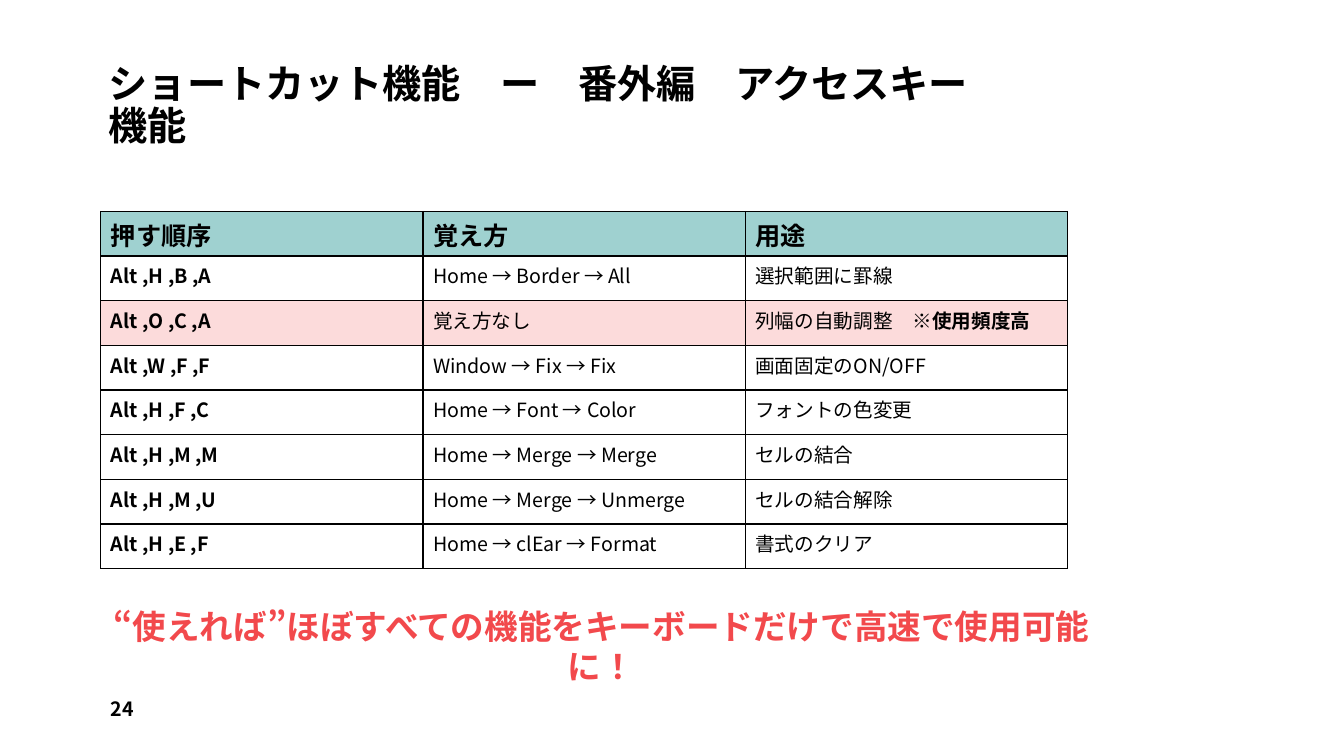
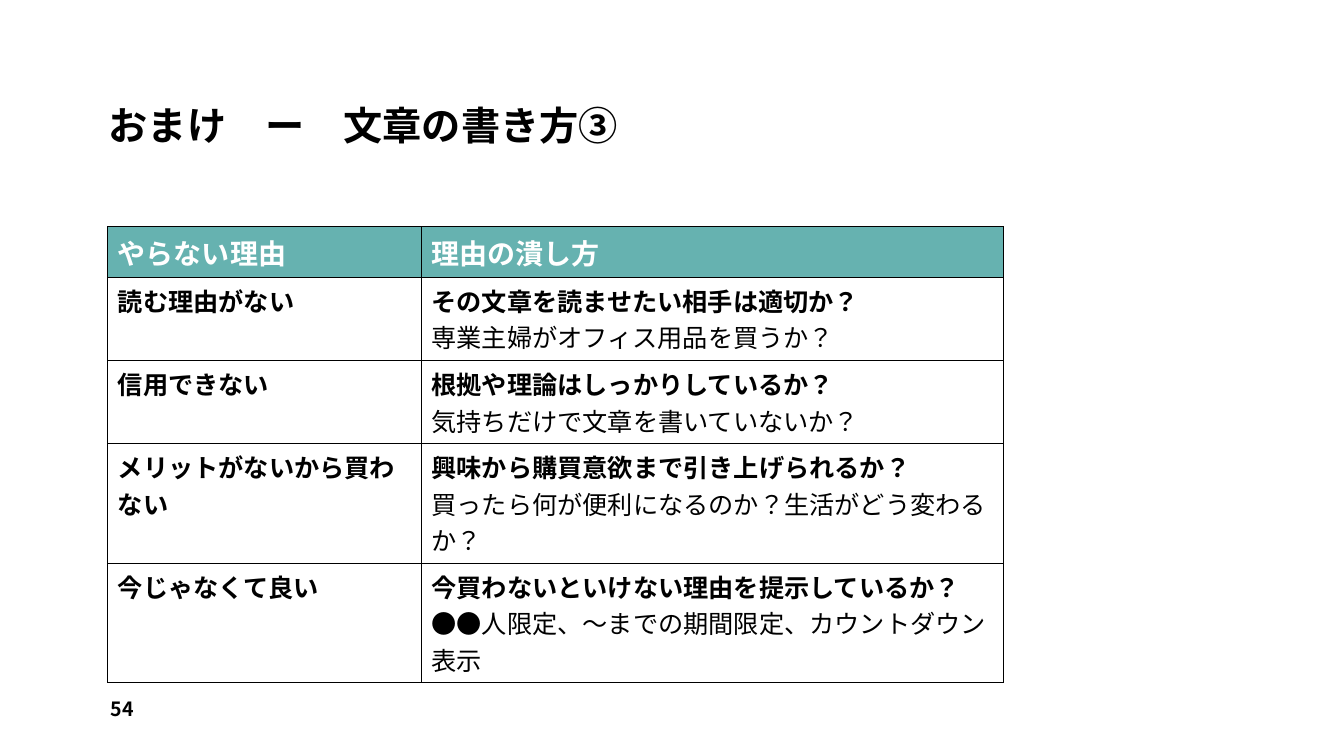
from dataclasses import dataclass

from lxml import etree
from pptx import Presentation
from pptx.dml.color import RGBColor
from pptx.enum.lang import MSO_LANGUAGE_ID
from pptx.enum.text import MSO_ANCHOR, MSO_AUTO_SIZE, PP_ALIGN
from pptx.oxml.ns import qn
from pptx.util import Pt

BOTTOM, MIDDLE = MSO_ANCHOR.BOTTOM, MSO_ANCHOR.MIDDLE
LEFT, CENTER = PP_ALIGN.LEFT, PP_ALIGN.CENTER
FIXED_SIZE, GROW = MSO_AUTO_SIZE.NONE, MSO_AUTO_SIZE.SHAPE_TO_FIT_TEXT
JAPANESE = MSO_LANGUAGE_ID.JAPANESE
TITLE_ONLY = 5


@dataclass(frozen=True)
class Theme:
    black: str = "000000"
    white: str = "FFFFFF"
    accent: str = "F2494C"
    pale_teal: str = "9FD1D0"
    teal: str = "66B2B0"
    highlight: str = "FCDBDB"
    font: str = "Noto Sans CJK JP"
    latin_font: str = "Arial"
    title_size: float = 28
    callout_size: float = 24
    large_header_size: float = 20
    header_size: float = 18
    body_size: float = 18
    small_size: float = 14
    border_width: float = 1


THEME = Theme()


@dataclass(frozen=True)
class Style:
    size: float
    bold: bool = True
    color: str = THEME.black
    font: str = THEME.font


@dataclass(frozen=True)
class Piece:
    text: str
    style: Style


@dataclass(frozen=True)
class Cell:
    paragraphs: list[list[Piece]]
    fill: str = THEME.white


@dataclass(frozen=True)
class Grid:
    left: float
    top: float
    columns: list[float]
    heights: list[float]
    rows: list[list[Cell]]


def write(paragraph, pieces: list[Piece], east_asian: bool = False) -> None:
    for piece in pieces:
        run = paragraph.add_run()
        run.text = piece.text
        font = run.font
        font.language_id = JAPANESE
        font.size = Pt(piece.style.size)
        font.bold = piece.style.bold
        font.name = piece.style.font
        font.color.rgb = RGBColor.from_string(piece.style.color)
        if east_asian:
            latin = run._r.rPr.find(qn("a:latin"))
            latin.addnext(etree.Element(qn("a:ea"), typeface=THEME.font))


def add_borders(cell) -> None:
    properties = cell._tc.get_or_add_tcPr()
    for position, side in enumerate(("lnL", "lnR", "lnT", "lnB")):
        line = etree.Element(qn(f"a:{side}"), w=str(Pt(THEME.border_width)))
        fill = etree.SubElement(line, qn("a:solidFill"))
        etree.SubElement(fill, qn("a:srgbClr"), val=THEME.black)
        properties.insert(position, line)


def add_grid(slide, grid: Grid) -> None:
    table = slide.shapes.add_table(
        len(grid.rows), len(grid.columns), Pt(grid.left), Pt(grid.top),
        Pt(sum(grid.columns)), Pt(sum(grid.heights))).table
    for column, width in zip(table.columns, grid.columns):
        column.width = Pt(width)
    for row, height, contents in zip(table.rows, grid.heights, grid.rows):
        row.height = Pt(height)
        for cell, content in zip(row.cells, contents):
            cell.fill.solid()
            cell.fill.fore_color.rgb = RGBColor.from_string(content.fill)
            add_borders(cell)
            frame = cell.text_frame
            for index, pieces in enumerate(content.paragraphs):
                paragraph = frame.add_paragraph() if index else frame.paragraphs[0]
                write(paragraph, pieces, east_asian=True)


def add_label(slide, left: float, top: float, width: float, height: float, piece: Piece):
    frame = slide.shapes.add_textbox(Pt(left), Pt(top), Pt(width), Pt(height)).text_frame
    frame.word_wrap = True
    write(frame.paragraphs[0], [piece])
    return frame


def add_page(deck, heading: str, number: int):
    slide = deck.slides.add_slide(deck.slide_layouts[TITLE_ONLY])
    title = slide.shapes.title
    title.left, title.top, title.width, title.height = Pt(70.5), Pt(5.5), Pt(653), Pt(104.5)
    frame = title.text_frame
    frame.vertical_anchor = BOTTOM
    frame.auto_size = FIXED_SIZE
    paragraph = frame.paragraphs[0]
    paragraph.alignment = LEFT
    paragraph.line_spacing = 0.9
    write(paragraph, [Piece(heading, Style(THEME.title_size))])
    footer = add_label(slide, 72, 492, 210, 29, Piece(str(number), Style(THEME.small_size)))
    footer.vertical_anchor = MIDDLE
    return slide


def shortcut_rows() -> list[list[Cell]]:
    header = Style(THEME.header_size)
    strong = Style(THEME.small_size)
    plain = Style(THEME.small_size, bold=False)
    shortcuts = [
        ("Alt ,H ,B ,A", "Home → Border → All", "選択範囲に罫線", ""),
        ("Alt ,O ,C ,A", "覚え方なし", "列幅の自動調整　", "※使用頻度高"),
        ("Alt ,W ,F ,F", "Window → Fix → Fix", "画面固定のON/OFF", ""),
        ("Alt ,H ,F ,C", "Home → Font → Color", "フォントの色変更", ""),
        ("Alt ,H ,M ,M", "Home → Merge → Merge", "セルの結合", ""),
        ("Alt ,H ,M ,U", "Home → Merge → Unmerge", "セルの結合解除", ""),
        ("Alt ,H ,E ,F", "Home → clEar → Format", "書式のクリア", ""),
    ]
    rows = [[Cell([[Piece(text, header)]], THEME.pale_teal)
             for text in ("押す順序", "覚え方", "用途")]]
    for keys, mnemonic, purpose, remark in shortcuts:
        fill = THEME.highlight if remark else THEME.white
        usage = [Piece(purpose, plain)]
        if remark:
            usage.append(Piece(remark, strong))
        rows.append([Cell([pieces], fill) for pieces in
                     ([Piece(keys, strong)], [Piece(mnemonic, plain)], usage)])
    return rows


def objection_rows() -> list[list[Cell]]:
    header = Style(THEME.large_header_size, color=THEME.white, font=THEME.latin_font)
    reason_style = Style(THEME.body_size, font=THEME.latin_font)
    strong = Style(THEME.body_size)
    plain = Style(THEME.body_size, bold=False)
    objections = [
        ("読む理由がない", "その文章を読ませたい相手は適切か？",
         "専業主婦がオフィス用品を買うか？"),
        ("信用できない", "根拠や理論はしっかりしているか？",
         "気持ちだけで文章を書いていないか？"),
        ("メリットがないから買わない", "興味から購買意欲まで引き上げられるか？",
         "買ったら何が便利になるのか？生活がどう変わるか？"),
        ("今じゃなくて良い", "今買わないといけない理由を提示しているか？",
         "●●人限定、～までの期間限定、カウントダウン表示"),
    ]
    rows = [[Cell([[Piece(text, header)]], THEME.teal)
             for text in ("やらない理由", "理由の潰し方")]]
    for reason, question, example in objections:
        rows.append([Cell([[Piece(reason, reason_style)]]),
                     Cell([[Piece(question, strong)], [Piece(example, plain)]])])
    return rows


def build_shortcuts(deck) -> None:
    slide = add_page(deck, "ショートカット機能　ー　番外編　アクセスキー機能", 24)
    callout = add_label(
        slide, 60.5, 429, 738, 36,
        Piece("“使えれば”ほぼすべての機能をキーボードだけで高速で使用可能に！",
              Style(THEME.callout_size, color=THEME.accent)))
    callout.auto_size = GROW
    callout.paragraphs[0].alignment = CENTER
    rows = shortcut_rows()
    add_grid(slide, Grid(72, 151, [230.2] * 3, [31.9] * len(rows), rows))


def build_objections(deck) -> None:
    slide = add_page(deck, "おまけ　ー　文章の書き方③", 54)
    two_lines, three_lines = 59.4, 85.5
    heights = [36, two_lines, two_lines, three_lines, three_lines]
    add_grid(slide, Grid(77, 162, [224, 416], heights, objection_rows()))


def main() -> None:
    deck = Presentation()
    deck.slide_width, deck.slide_height = Pt(960), Pt(540)
    build_shortcuts(deck)
    build_objections(deck)
    deck.save("out.pptx")


if __name__ == "__main__":
    main()
